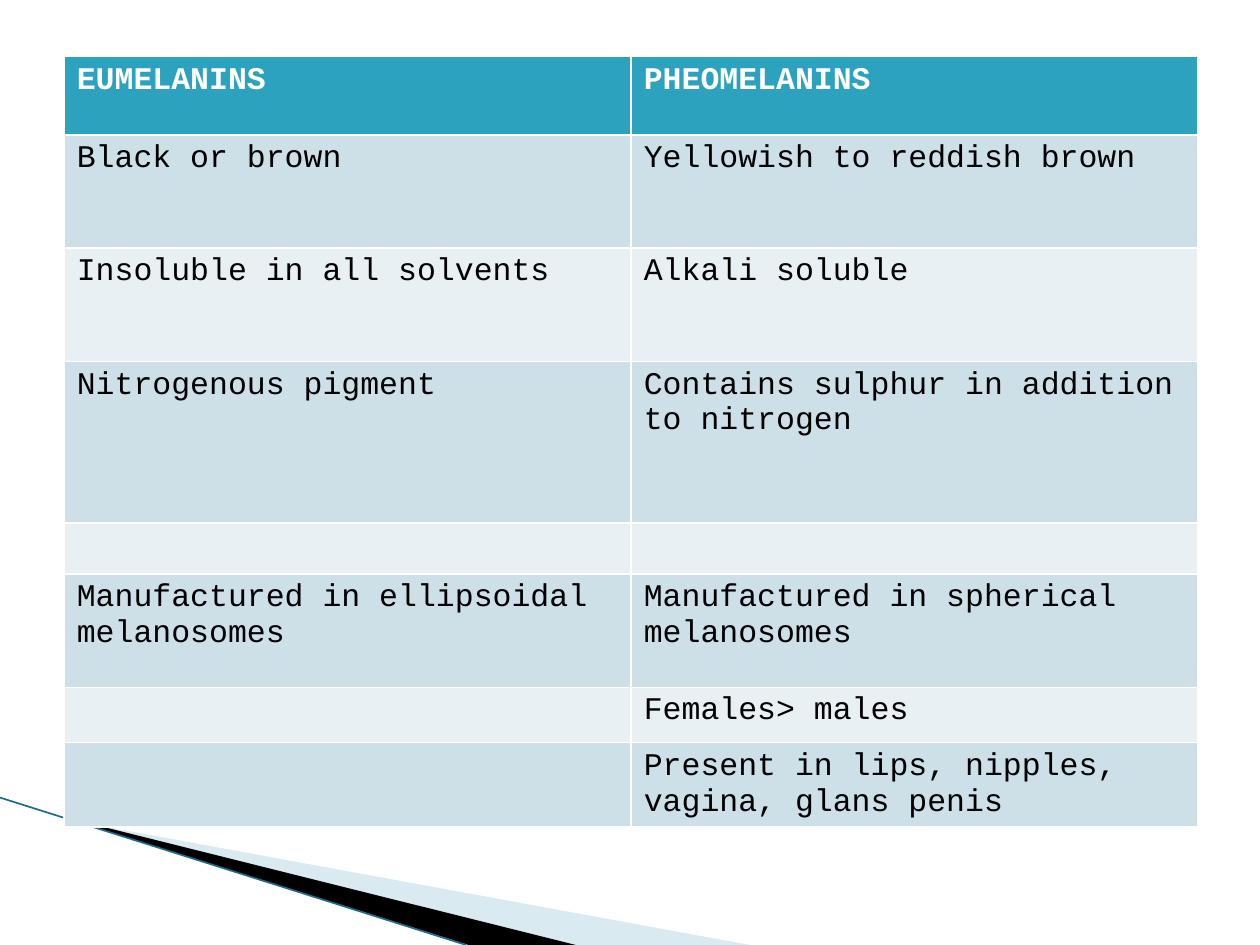
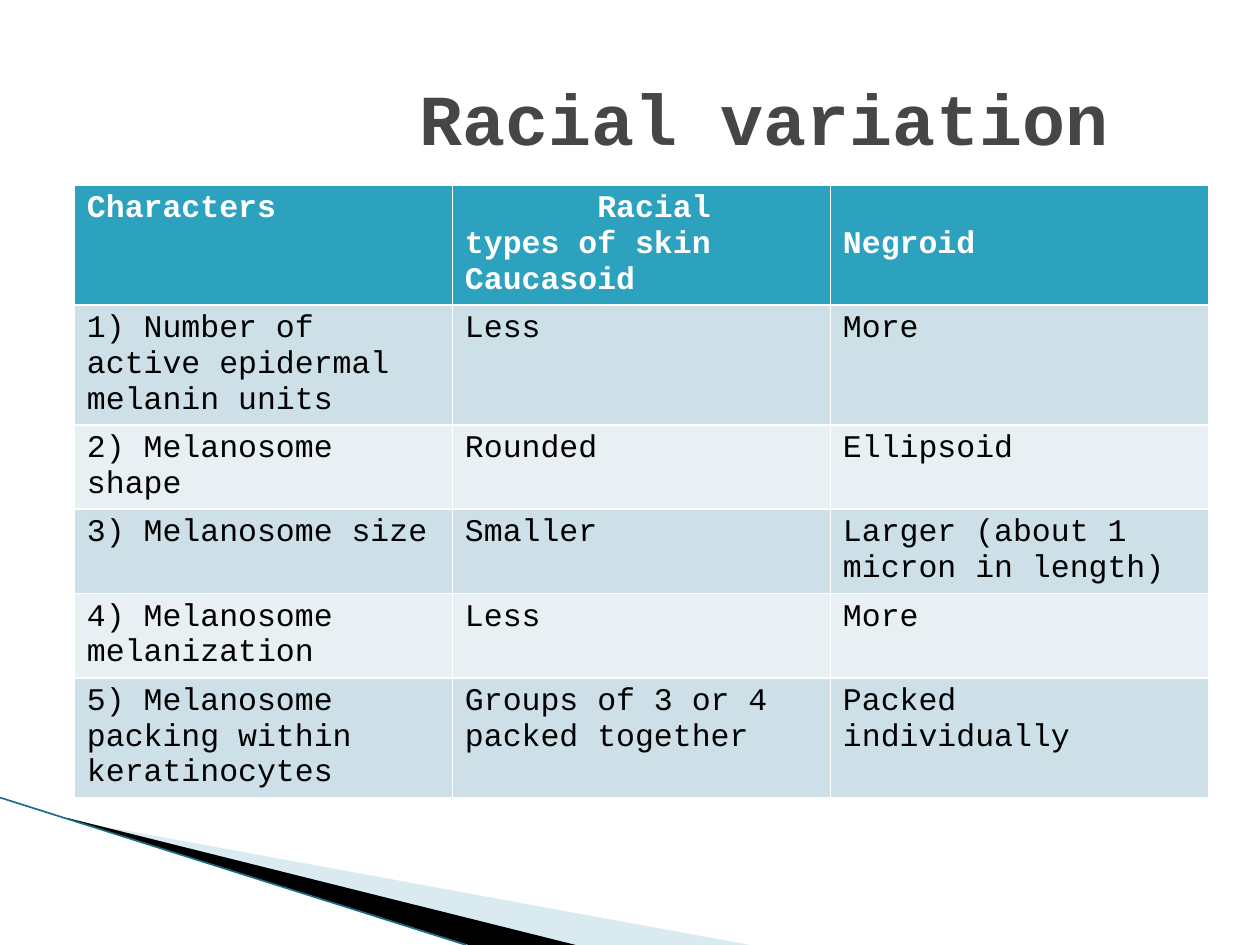
from lxml import etree
from pptx import Presentation
from pptx.dml.color import RGBColor
from pptx.enum import shapes, text
from pptx.oxml.ns import qn
from pptx.util import Inches, Pt

FONT = "Courier New"
COLORS = {
    "header": "2DA2BF", "odd": "CDE0E8", "even": "E8F0F4",
    "white": "FFFFFF", "black": "000000", "title": "464646",
    "pale": "A0CBDC", "edge": "1B6E85",
}
PIGMENTS = [
    ("EUMELANINS", "PHEOMELANINS"),
    ("Black or brown", "Yellowish to reddish brown"),
    ("Insoluble in all solvents", "Alkali soluble"),
    ("Nitrogenous pigment", "Contains sulphur in addition to nitrogen"),
    ("", ""),
    ("Manufactured in ellipsoidal melanosomes", "Manufactured in spherical melanosomes"),
    ("", "Females> males"),
    ("", "Present in lips, nipples, vagina, glans penis"),
]
RACIAL_TYPES = [
    ("Characters", "Racial types of skin\nCaucasoid", "Negroid"),
    ("1) Number of active epidermal melanin units", "Less", "More"),
    ("2) Melanosome shape", "Rounded", "Ellipsoid"),
    ("3) Melanosome size", "Smaller", "Larger (about 1 micron in length)"),
    ("4) Melanosome melanization", "Less", "More"),
    ("5) Melanosome packing within keratinocytes", "Groups of 3 or 4 packed together",
     "Packed individually"),
]


def color(name):
    """Return the named colour."""
    return RGBColor.from_string(COLORS[name])


def style_runs(p, size, name, bold):
    """Format every run of a paragraph."""
    for r in p.runs:
        r.font.name, r.font.size, r.font.bold = FONT, Pt(size), bold
        r.font.color.rgb = color(name)


def add_wedge(s, points, name, alpha=None):
    """Draw a filled outline without a line."""
    corners = [(Inches(x), Inches(y)) for x, y in points]
    builder = s.shapes.build_freeform(*corners[0])
    builder.add_line_segments(corners[1:])
    sp = builder.convert_to_shape()
    sp.shadow.inherit = False
    sp.fill.solid()
    sp.fill.fore_color.rgb = color(name)
    sp.line.fill.background()
    if alpha:
        clr = sp.fill._xPr.find(qn("a:solidFill"))[0]
        etree.SubElement(clr, qn("a:alpha")).set("val", str(alpha * 1000))
    return sp


def add_edge(s, start, end):
    """Draw the thin slanted line."""
    cx = s.shapes.add_connector(
        shapes.MSO_CONNECTOR.STRAIGHT, *(Inches(v) for v in start + end))
    cx.line.color.rgb = color("edge")
    cx.line.width = Pt(0.95)
    etree.SubElement(cx._element.spPr, qn("a:effectLst"))
    return cx


def decorate_master(prs, s):
    """Draw the corner wedges on a slide and move them to the master."""
    corner = [
        add_wedge(s, [(0.55, 6.51), (5.95, 7.5), (4.56, 7.5), (0.55, 6.5)], "pale", 40),
        add_wedge(s, [(0.53, 6.49), (4.57, 7.5), (3.72, 7.5), (0.54, 6.5)], "black"),
        add_edge(s, (0, 6.33), (3.7, 7.5)),
    ]
    for sp in corner:
        prs.slide_master.shapes._spTree.append(sp._element)


def add_grid(s, left, top, rows, heights):
    """Add a nine-inch table with a header and alternating row fills."""
    count = len(rows[0])
    table = s.shapes.add_table(
        len(rows), count, Inches(left), Inches(top), Inches(9), Inches(sum(heights))).table
    for i, (row, height) in enumerate(zip(rows, heights)):
        table.rows[i].height = Inches(height)
        fill = "header" if i == 0 else "odd" if i % 2 else "even"
        for j, words in enumerate(row):
            cell = table.cell(i, j)
            cell.fill.solid()
            cell.fill.fore_color.rgb = color(fill)
            cell.text_frame.text = words
            for p in cell.text_frame.paragraphs:
                style_runs(p, 18, "black" if i else "white", i == 0)
    return table


def add_title(s, words):
    """Fill and format the title placeholder."""
    sp = s.shapes.title
    sp.left, sp.top, sp.width, sp.height = (Inches(v) for v in (0.5, 0.3, 9, 1.25))
    tf = sp.text_frame
    tf.text = words
    tf.auto_size = text.MSO_AUTO_SIZE.NONE
    tf.vertical_anchor = text.MSO_ANCHOR.MIDDLE
    tf.margin_left = Inches(2.83)
    p = tf.paragraphs[0]
    p.alignment = text.PP_ALIGN.LEFT
    style_runs(p, 41, "title", True)


def main():
    """Build both slides."""
    prs = Presentation()
    prs.slide_width, prs.slide_height = Inches(10), Inches(7.5)

    s = prs.slides.add_slide(prs.slide_layouts[6])
    decorate_master(prs, s)
    add_grid(s, 0.51, 0.45, PIGMENTS, [0.62, 0.9, 0.9, 1.28, 0.39, 0.9, 0.44, 0.66])

    s = prs.slides.add_slide(prs.slide_layouts[5])
    add_title(s, "Racial variation")
    table = add_grid(s, 0.59, 1.47, RACIAL_TYPES, [0.95, 0.95, 0.67, 0.67, 0.67, 0.95])
    p = table.cell(0, 1).text_frame.paragraphs[0]
    p._p.get_or_add_pPr().set("indent", str(Inches(1.05)))
    table.cell(0, 2).margin_top = Inches(0.33)

    prs.save("out.pptx")


if __name__ == "__main__":
    main()
